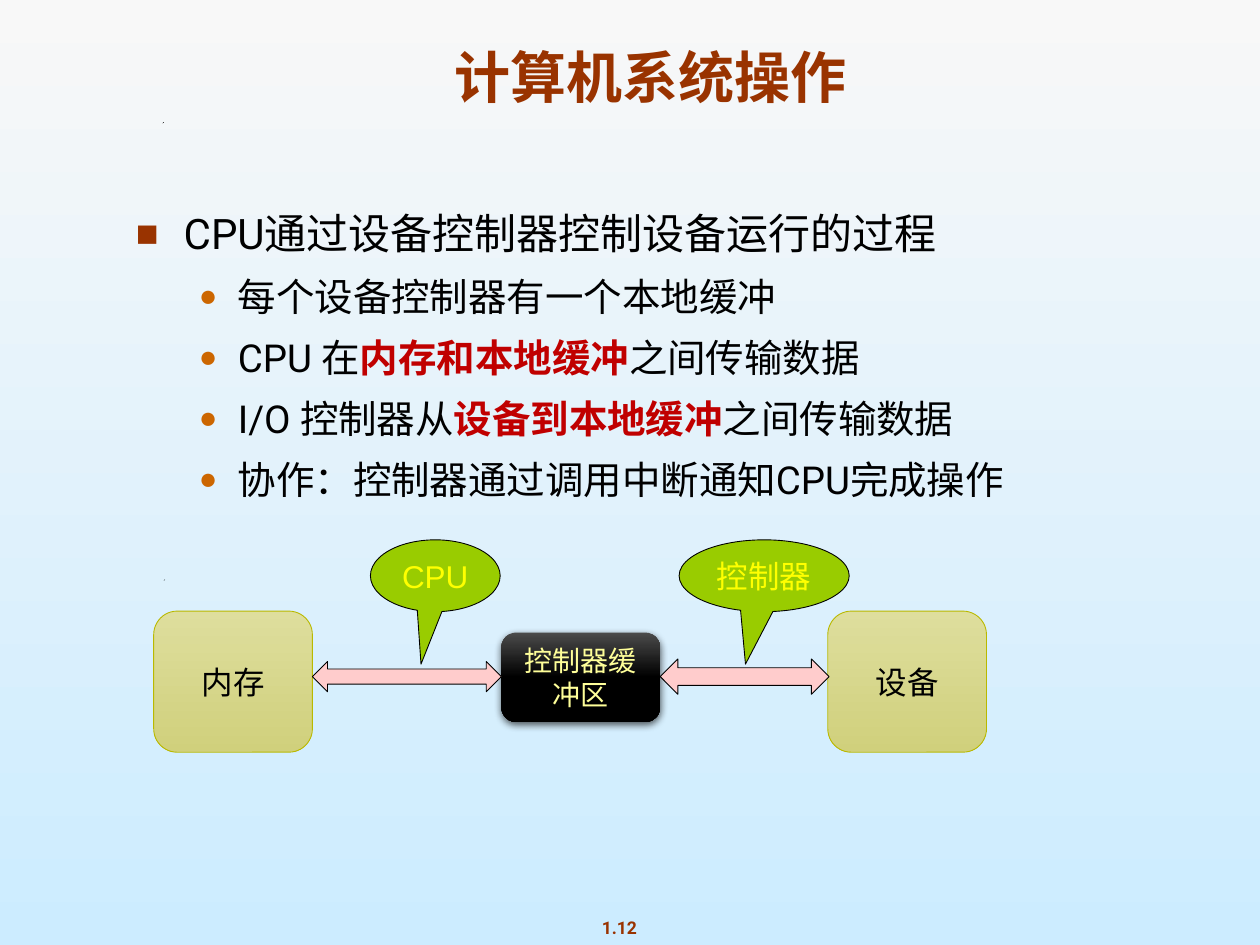
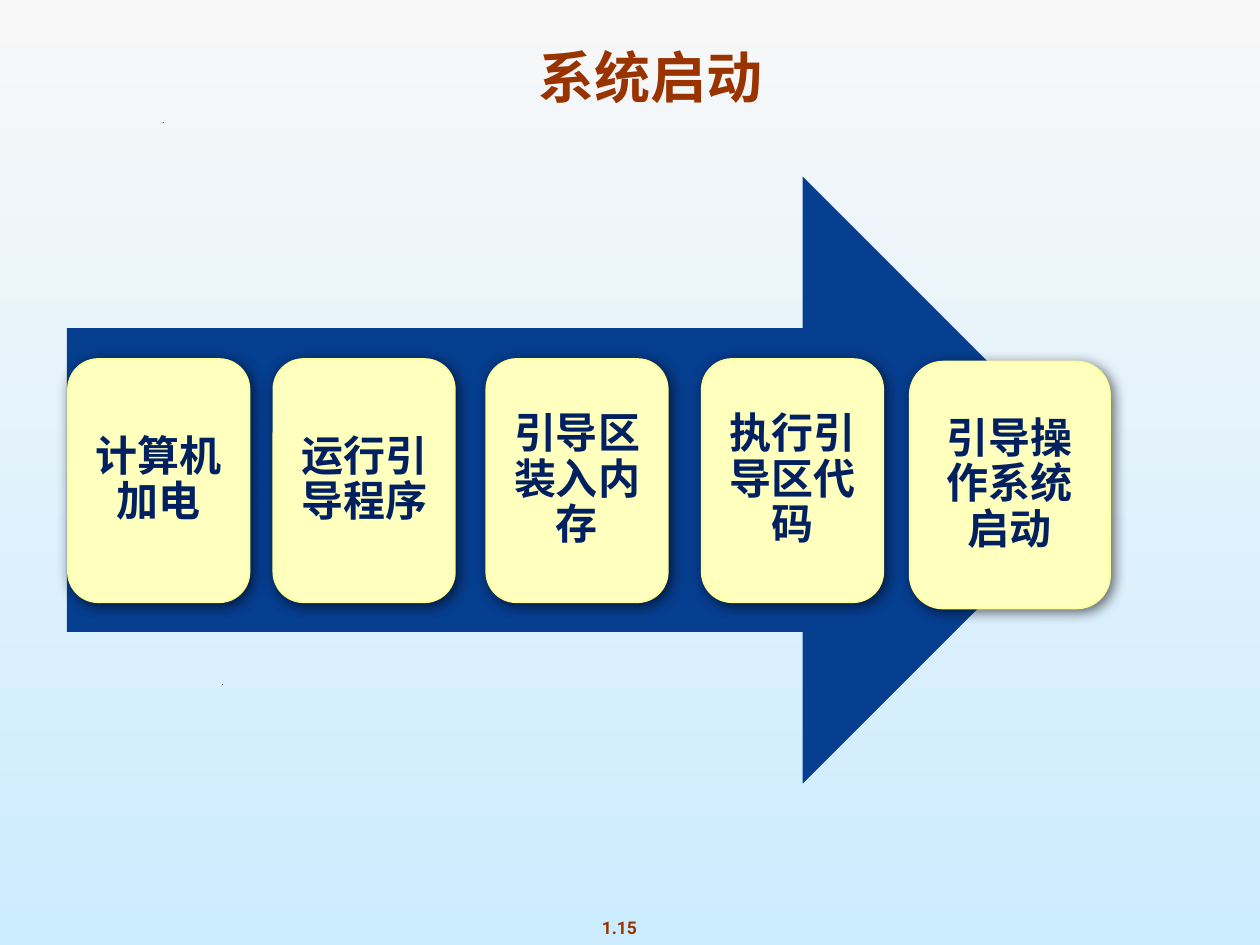
import pptx
import pptx.util
import pptx.dml.color
import pptx.enum.shapes
import pptx.enum.text
import pptx.oxml
import pptx.oxml.ns
from dataclasses import dataclass

Kind = pptx.enum.shapes.MSO_SHAPE
Align = pptx.enum.text.PP_ALIGN
Anchor = pptx.enum.text.MSO_ANCHOR
Pt = pptx.util.Pt
qn = pptx.oxml.ns.qn

# Grid of 100 columns by 75 rows
COLS, ROWS = 100, 75
CELL = pptx.util.Inches(0.1)


@dataclass(frozen=True)
class Theme:
    font: str = "Roboto"
    plain: str = "Arial"
    card_font: str = "Noto Sans CJK SC"
    sky: tuple = ("F8F8F8", "CCECFF")
    olive: tuple = ("DEDE9D", "D0D07C")
    night: tuple = ("4B4B4B", "000000")
    rust: str = "993300"
    amber: str = "CC6600"
    red: str = "C00000"
    ink: str = "000000"
    moss: str = "B9B900"
    lemon: str = "FFFF99"
    pink: str = "FFCCCC"
    lime: str = "99CC00"
    yellow: str = "FFFF00"
    blue: str = "063E90"
    navy: str = "002060"
    cream: str = "FFFFBE"
    title: int = 32
    head: int = 24
    item: int = 22
    label: int = 18
    small: int = 16
    foot: int = 10


T = Theme()


def rgb(code):
    return pptx.dml.color.RGBColor.from_string(code)


def place(left, top, width, height):
    return [round(n * CELL) for n in (left, top, width, height)]


def paint(fill, look, end=1):
    """Fill with one colour, or with a pair shading from top to bottom."""
    if isinstance(look, str):
        fill.solid()
        fill.fore_color.rgb = rgb(look)
        return
    fill.gradient()
    fill.gradient_angle = 270
    for stop, code, spot in zip(fill.gradient_stops, look, (0, end)):
        stop.color.rgb = rgb(code)
        stop.position = spot


def add_run(para, text, size, color, bold=False, font=T.font):
    run = para.add_run()
    run.text = text
    run.font.size, run.font.bold, run.font.name = Pt(size), bold, font
    run.font.color.rgb = rgb(color)
    east = run._r.get_or_add_rPr().makeelement(qn("a:ea"), {"typeface": font})
    run._r.rPr.find(qn("a:latin")).addnext(east)


def add_text(slide, box, anchor=Anchor.TOP, wrap=True):
    frame = slide.shapes.add_textbox(*place(*box)).text_frame
    frame.word_wrap = wrap
    frame.vertical_anchor = anchor
    return frame


def add_line(slide, box, text, size, anchor, wrap=True):
    para = add_text(slide, box, anchor, wrap).paragraphs[0]
    para.alignment = Align.CENTER
    add_run(para, text, size, T.rust, True)


def add_block(slide, kind, box, look, edge=None, width=0.5, end=1):
    block = slide.shapes.add_shape(kind, *place(*box))
    block.shadow.inherit = False
    paint(block.fill, look, end)
    if edge:
        block.line.color.rgb = rgb(edge)
        block.line.width = Pt(width)
    else:
        block.line.fill.background()
    return block


def write(block, text, size, color, bold=False, font=T.font, wrap=True):
    frame = block.text_frame
    frame.word_wrap = wrap
    frame.vertical_anchor = Anchor.MIDDLE
    para = frame.paragraphs[0]
    para.alignment = Align.CENTER
    add_run(para, text, size, color, bold, font)
    return frame


def add_glow(block, blur, dist, angle, alpha):
    glow = block._element.spPr.find(qn("a:effectLst"))
    glow.append(pptx.oxml.parse_xml(
        '<a:outerShdw xmlns:a="http://schemas.openxmlformats.org/drawingml/2006/main" '
        f'blurRad="{Pt(blur)}" dist="{Pt(dist)}" dir="{angle * 60000}" rotWithShape="0">'
        f'<a:srgbClr val="{T.ink}"><a:alpha val="{alpha * 1000}"/></a:srgbClr>'
        '</a:outerShdw>'))


def add_bullet(para, mark, color, share, left, hang):
    props = para._p.get_or_add_pPr()
    props.set("marL", str(round(left * CELL)))
    props.set("indent", str(round(-hang * CELL)))
    tint = pptx.oxml.ns.qn("a:buClr")
    node = props.makeelement(tint, {})
    node.append(node.makeelement(qn("a:srgbClr"), {"val": color}))
    props.append(node)
    for tag, key, value in (("a:buSzPct", "val", str(share * 1000)),
                            ("a:buFont", "typeface", T.plain),
                            ("a:buChar", "char", mark)):
        props.append(props.makeelement(qn(tag), {key: value}))


def add_list(slide, box, items):
    frame = add_text(slide, box)
    for num, (level, runs) in enumerate(items):
        para = frame.add_paragraph() if num else frame.paragraphs[0]
        para.level = level
        if num:
            para.space_before = Pt(8.5)
        if level:
            add_bullet(para, "●", T.amber, 80, 8.1, 3.1)
        else:
            add_bullet(para, "■", T.rust, 90, 3.8, 3.8)
        for part, text in enumerate(runs):
            strong = part == 1
            add_run(para, text, T.item if level else T.head,
                    T.red if strong else T.ink, strong)


def add_speck(slide, left, top):
    x, y, step = round(left * CELL), round(top * CELL), CELL // 10
    path = slide.shapes.build_freeform(x, y + step)
    path.add_line_segments([(x + step // 2, y), (x + step, y)], close=True)
    speck = path.convert_to_shape()
    speck.shadow.inherit = False
    paint(speck.fill, T.ink)
    speck.line.fill.background()


def add_page(deck, title, number, specks):
    slide = deck.slides.add_slide(deck.slide_layouts[6])
    paint(slide.background.fill, T.sky)
    add_line(slide, (46.7, 72.3, 4.9, 2.7), number, T.foot, Anchor.TOP, False)
    for spot in specks:
        add_speck(slide, *spot)
    add_line(slide, (7.5, 2.5, 88.3, 6.7), title, T.title, Anchor.BOTTOM)
    return slide


def draw_flow(slide):
    # Memory and device, with the buffer between them
    for left, name in ((12.2, "内存"), (65.7, "设备")):
        store = add_block(slide, Kind.ROUNDED_RECTANGLE, (left, 48.5, 12.6, 11.2),
                          T.olive, T.moss)
        write(store, name, T.label, T.ink)
    buffer = add_block(slide, Kind.ROUNDED_RECTANGLE, (39.8, 50.2, 12.6, 7.1),
                       T.night, end=0.5)
    write(buffer, "控制器缓冲区", T.small, T.lemon)
    add_glow(buffer, 4.5, 1.5, 90, 63)

    # Transfers
    for box in ((24.8, 52.5, 15, 2.4), (52.4, 52.3, 13.4, 2.8)):
        add_block(slide, Kind.LEFT_RIGHT_ARROW, box, T.pink, T.ink)

    # Who carries out each transfer
    for left, width, name in ((29.4, 10.3, "CPU"), (53.9, 13.5, "控制器")):
        note = add_block(slide, Kind.OVAL_CALLOUT, (left, 42.85, width, 5.7),
                         T.lime, T.ink)
        note.adjustments[0], note.adjustments[1] = -0.11, 1.23
        write(note, name, T.label, T.yellow, font=T.plain, wrap=False)


def draw_steps(slide):
    add_block(slide, Kind.RIGHT_ARROW, (5.3, 14, 82.5, 48.2), T.blue)
    usual = (28.5, 14.4, 19.3)
    steps = ((5.4, "计算机加电", usual),
             (21.7, "运行引导程序", usual),
             (38.6, "引导区装入内存", usual),
             (55.7, "执行引导区代码", usual),
             (72.2, "引导操作系统启动", (28.7, 15.9, 19.6)))
    for left, name, (top, width, height) in steps:
        card = add_block(slide, Kind.ROUNDED_RECTANGLE, (left, top, width, height),
                         T.cream, T.lemon, 1)
        add_glow(card, 8, 2, 45, 60)
        frame = write(card, name, T.head, T.navy, True, T.card_font)
        frame.margin_left = frame.margin_right = CELL
        frame.margin_top = frame.margin_bottom = CELL
        frame.paragraphs[0].line_spacing = 0.9


def main():
    deck = pptx.Presentation()
    deck.slide_width, deck.slide_height = COLS * CELL, ROWS * CELL

    # Computer system operation
    slide = add_page(deck, "计算机系统操作", "1.12",
                     ((17.6, 54.3), (13, 46), (56.5, 46), (12.9, 9.7)))
    add_list(slide, (9.8, 16, 80.4, 49), (
        (0, ("CPU通过设备控制器控制设备运行的过程",)),
        (1, ("每个设备控制器有一个本地缓冲",)),
        (1, ("CPU 在", "内存和本地缓冲", "之间传输数据")),
        (1, ("I/O 控制器从", "设备到本地缓冲", "之间传输数据")),
        (1, ("协作：控制器通过调用中断通知CPU完成操作",))))
    draw_flow(slide)

    # System start
    slide = add_page(deck, "系统启动", "1.15", ((17.6, 54.3), (12.9, 9.7)))
    draw_steps(slide)
    deck.save("out.pptx")


if __name__ == "__main__":
    main()
